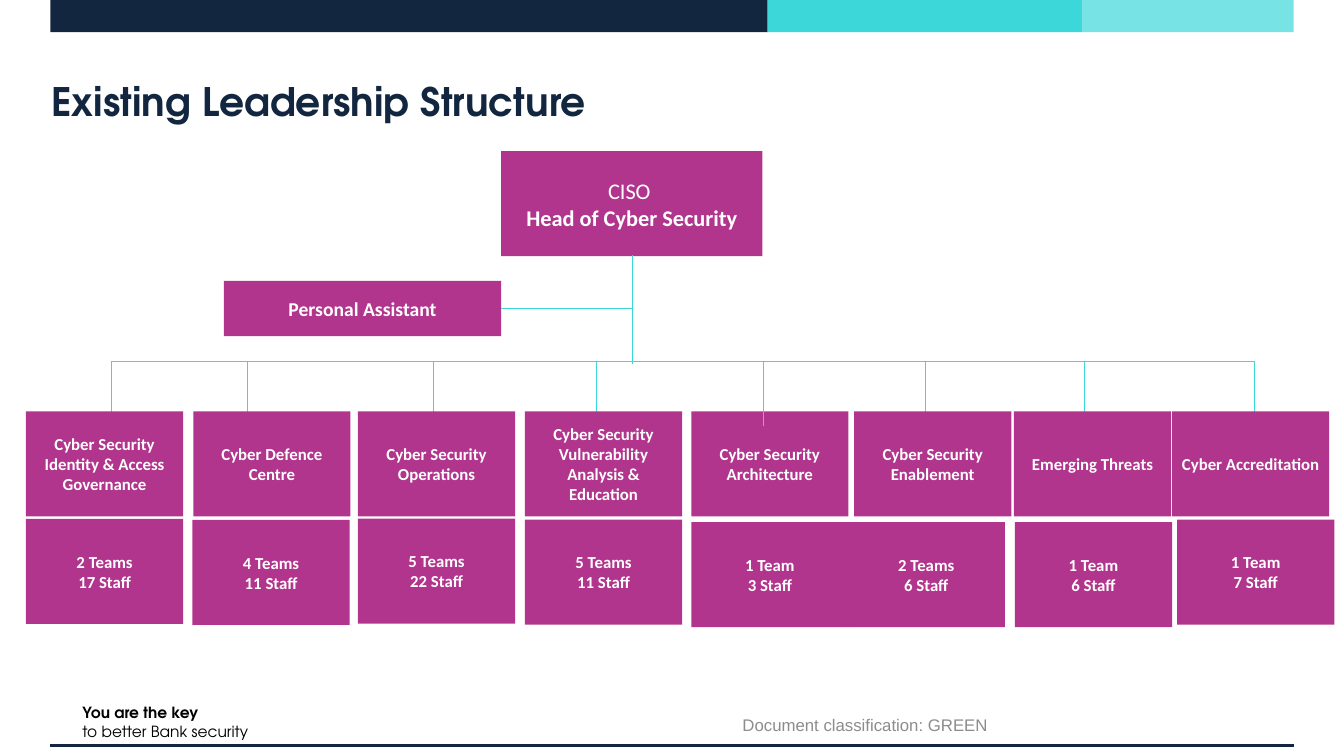
from lxml import etree
from pptx import Presentation
from pptx.dml.color import RGBColor
from pptx.enum.shapes import MSO_CONNECTOR, MSO_SHAPE
from pptx.enum.text import MSO_ANCHOR, PP_ALIGN
from pptx.oxml.ns import qn
from pptx.util import Pt

RECT = MSO_SHAPE.RECTANGLE
STRAIGHT = MSO_CONNECTOR.STRAIGHT
MIDDLE, TOP = MSO_ANCHOR.MIDDLE, MSO_ANCHOR.TOP
LEFT, CENTER = PP_ALIGN.LEFT, PP_ALIGN.CENTER

COLORS = {
    "navy": "12273F",
    "teal": "3CD7D9",
    "aqua": "77E3E4",
    "magenta": "B1358D",
    "white": "FFFFFF",
    "black": "000000",
    "grey": "8C8C8C",
}
HEADING_FONT = "TeX Gyre Adventor"
TITLE_ONLY = 5


class Deck:
    def __init__(self, width, height):
        self.prs = Presentation()
        self.prs.slide_width, self.prs.slide_height = Pt(width), Pt(height)
        self.s = self.prs.slides.add_slide(self.prs.slide_layouts[TITLE_ONLY])

    def color(self, name):
        return RGBColor.from_string(COLORS[name])

    def fill_text(self, tf, lines, size, font, color, align=CENTER, anchor=MIDDLE, wrap=True):
        tf.word_wrap = wrap
        tf.vertical_anchor = anchor
        for i, (text, bold) in enumerate(lines):
            p = tf.paragraphs[0] if i == 0 else tf.add_paragraph()
            p.alignment = align
            r = p.add_run()
            r.text = text
            for key, value in {"name": font, "size": Pt(size), "bold": bold}.items():
                setattr(r.font, key, value)
            r.font.color.rgb = self.color(color)

    def title(self, text, x, y, w, h):
        sp = self.s.shapes.title
        for key, value in {"left": x, "top": y, "width": w, "height": h}.items():
            setattr(sp, key, Pt(value))
        for side in ("left", "top", "right", "bottom"):
            setattr(sp.text_frame, f"margin_{side}", 0)
        self.fill_text(sp.text_frame, [(text, True)], 28, HEADING_FONT, "navy", LEFT)

    def text(self, x, y, w, h, lines, **style):
        sp = self.s.shapes.add_textbox(Pt(x), Pt(y), Pt(w), Pt(h))
        self.fill_text(sp.text_frame, lines, **style)

    def rect(self, x, y, w, h, fill):
        sp = self.s.shapes.add_shape(RECT, Pt(x), Pt(y), Pt(w), Pt(h))
        sp.shadow.inherit = False
        sp.fill.solid()
        sp.fill.fore_color.rgb = self.color(fill)
        sp.line.fill.background()
        return sp

    def box(self, x, y, w, h, lines, size=12):
        sp = self.rect(x, y, w, h, "magenta")
        self.fill_text(sp.text_frame, lines, size, "Calibri", "white")

    def line(self, x1, y1, x2, y2, color="teal", width=0.5):
        sp = self.s.shapes.add_connector(STRAIGHT, Pt(x1), Pt(y1), Pt(x2), Pt(y2))
        sp.line.color.rgb = self.color(color)
        sp.line.width = Pt(width)
        etree.SubElement(sp._element.spPr, qn("a:effectLst"))


BANDS = [(36, 512.4, "navy"), (548.4, 225, "teal"), (773.4, 150.6, "aqua")]
UNIT_W, UNIT_H, UNIT_Y = 112.3, 75, 293.9
BUS_Y, DROP_END = 257.8, 304.6
TRUNK_X = 451.4

UNITS = [
    ("Cyber Security Identity & Access Governance", 18.6, 79.2, "2 Teams", "17 Staff", 18.6, 370.7),
    ("Cyber Defence Centre", 138.1, 176.5, "4 Teams", "11 Staff", 137.5, 371.4),
    ("Cyber Security Operations", 255.7, 309.4, "5 Teams", "22 Staff", 255.7, 370.5),
    ("Cyber Security Vulnerability Analysis & Education", 375, 426.1, "5 Teams", "11 Staff", 375, 371.2),
    ("Cyber Security Architecture", 493.8, 545.2, "1 Team", "3 Staff", 493.8, 373),
    ("Cyber Security Enablement", 610.1, 661, "2 Teams", "6 Staff", 605.5, 373),
    ("Emerging Threats", 724.3, 774.6, "1 Team", "6 Staff", 724.9, 373),
    ("Cyber Accreditation", 837.2, 895.9, "1 Team", "7 Staff", 840.8, 371.2),
]
DROP_IN_FRONT = "Cyber Security Architecture"


def main():
    deck = Deck(960, 540)
    for x, w, fill in BANDS:
        deck.rect(x, 0, w, 23, fill)
    deck.text(51.8, 499, 134.6, 33.8, [("You are the key", True), ("to better Bank security", False)],
              size=11, font=HEADING_FONT, color="black", align=LEFT, anchor=TOP, wrap=False)
    deck.line(36, 532.8, 924, 532.8, "navy", 2.25)
    deck.text(396, 502.9, 444.2, 30, [("Document classification: GREEN", False)],
              size=12, font="Arial", color="grey")
    deck.title("Existing Leadership Structure", 36.7, 36, 887.8, 72)

    deck.box(358, 108, 186.7, 75, [("CISO ", False), ("Head of Cyber Security", True)], 16)
    deck.box(160, 200.7, 198, 39.4, [("Personal Assistant", True)], 14)
    deck.line(TRUNK_X, 182.5, TRUNK_X, 259.9)
    deck.line(358, 220.3, TRUNK_X, 220.3)
    deck.line(UNITS[0][2], BUS_Y, UNITS[-1][2], BUS_Y)

    for name, x, drop_x, teams, staff, team_x, team_y in UNITS:
        if name != DROP_IN_FRONT:
            deck.line(drop_x, BUS_Y, drop_x, DROP_END)
        deck.box(x, UNIT_Y, UNIT_W, UNIT_H, [(name, True)])
        if name == DROP_IN_FRONT:
            deck.line(drop_x, BUS_Y, drop_x, DROP_END)
        deck.box(team_x, team_y, UNIT_W, UNIT_H, [(teams, True), (staff, True)])
    deck.prs.save("out.pptx")


if __name__ == "__main__":
    main()
